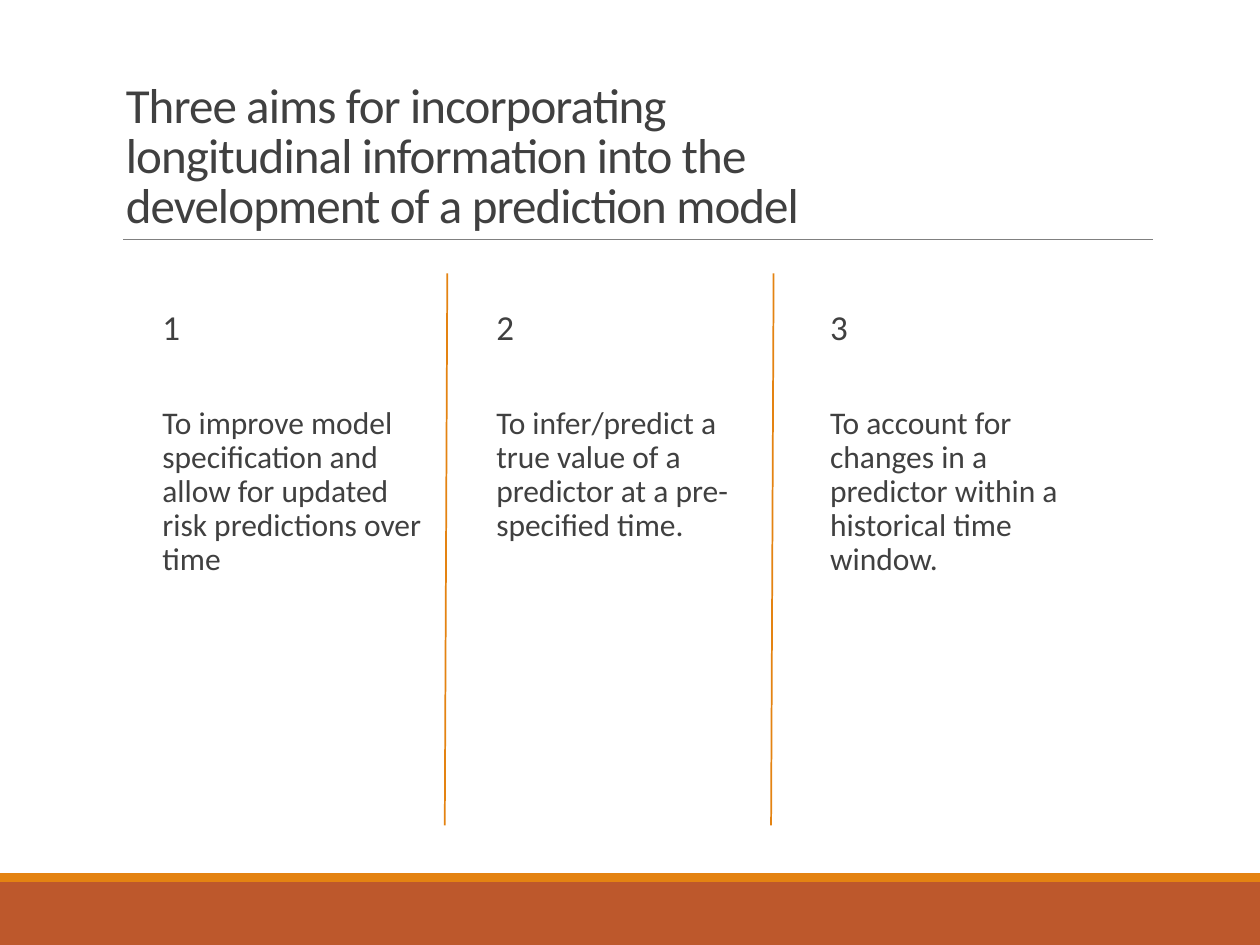
from dataclasses import dataclass

from lxml.etree import SubElement
from pptx import Presentation
from pptx.dml.color import RGBColor
from pptx.enum.shapes import MSO_CONNECTOR as Connector, MSO_SHAPE as Preset
from pptx.enum.text import MSO_ANCHOR as Anchor
from pptx.oxml.ns import qn
from pptx.slide import Slide
from pptx.util import Inches, Pt

ORANGE = RGBColor(0xE4, 0x83, 0x12)
RUST = RGBColor(0xBD, 0x58, 0x2C)
GREY = RGBColor(0x80, 0x80, 0x80)
INK = RGBColor(0x40, 0x40, 0x40)
FONT = "Calibri"
COLUMNS, ROWS = 100, 75
CELL = Inches(0.1)
FIRST_AIM, AIM_PITCH, AIM_WIDTH = 10.9, 26.5, 24.1
FIRST_DIVIDER, DIVIDER_PITCH = 35.5, 25.9


@dataclass(frozen=True)
class Area:
    """A rectangle in grid columns and rows."""

    column: float
    row: float
    width: float
    height: float

    def lengths(self) -> list[int]:
        return [round(n * CELL) for n in (self.column, self.row, self.width, self.height)]


@dataclass(frozen=True)
class Style:
    """The look of one text box."""

    size: int
    line_spacing: float
    anchor: Anchor = Anchor.TOP
    indent: float = 0
    tracking: int = 0


TITLE = Style(28, 0.85, Anchor.BOTTOM, tracking=-50)
NUMBER = Style(20, 0.9, indent=1)
BODY = Style(18, 0.9, indent=1)

AIMS = (
    "To improve model specification and allow for updated risk predictions over time",
    "To infer/predict a true value of a predictor at a pre-specified time.",
    "To account for changes in a predictor within a historical time window.",
)


def add_band(page: Slide, area: Area, colour: RGBColor) -> None:
    """Draw a plain filled band."""
    band = page.shapes.add_shape(Preset.RECTANGLE, *area.lengths())
    band.shadow.inherit = False
    band.fill.solid()
    band.fill.fore_color.rgb = colour
    band.line.fill.background()


def add_rule(page: Slide, start: tuple[float, float], end: tuple[float, float],
             colour: RGBColor, weight: float) -> None:
    """Draw a straight line between two grid points."""
    points = [round(n * CELL) for n in (*start, *end)]
    rule = page.shapes.add_connector(Connector.STRAIGHT, *points)
    rule.line.color.rgb = colour
    rule.line.width = Pt(weight)
    SubElement(rule._element.spPr, qn("a:effectLst"))


def add_text(page: Slide, area: Area, text: str, style: Style) -> None:
    """Write one paragraph in a wrapping text box."""
    box = page.shapes.add_textbox(*area.lengths())
    frame = box.text_frame
    frame.word_wrap = True
    frame.vertical_anchor = style.anchor
    para = frame.paragraphs[0]
    para.line_spacing = style.line_spacing
    para.space_after = Pt(2 if style.indent else 0)
    para._p.get_or_add_pPr().set("marL", str(round(style.indent * CELL)))
    span = para.add_run()
    span.text = text
    span.font.name = FONT
    span.font.size = Pt(style.size)
    span.font.color.rgb = INK
    if style.tracking:
        span._r.get_or_add_rPr().set("spc", str(style.tracking))


def main() -> None:
    """Build the slide with three aims."""
    deck = Presentation()
    deck.slide_width, deck.slide_height = COLUMNS * CELL, ROWS * CELL
    page = deck.slides.add_slide(deck.slide_layouts[6])

    add_band(page, Area(0, 70, COLUMNS, 5), RUST)
    add_band(page, Area(0, 69.3, COLUMNS, 0.7), ORANGE)
    add_rule(page, (9.8, 19), (91.5, 19), GREY, 0.5)
    add_text(page, Area(9, 3.1, 60.8, 15.9),
             "Three aims for incorporating longitudinal information into the "
             "development of a prediction model", TITLE)

    for index, aim in enumerate(AIMS):
        left = FIRST_AIM + index * AIM_PITCH
        add_text(page, Area(left, 24.1, AIM_WIDTH, 6.3), str(index + 1), NUMBER)
        add_text(page, Area(left, 31.8, AIM_WIDTH, 33.7), aim, BODY)

    for index in range(len(AIMS) - 1):
        top = FIRST_DIVIDER + index * DIVIDER_PITCH
        add_rule(page, (top, 21.7), (top - 0.2, 65.5), ORANGE, 1)

    deck.save("out.pptx")


if __name__ == "__main__":
    main()
